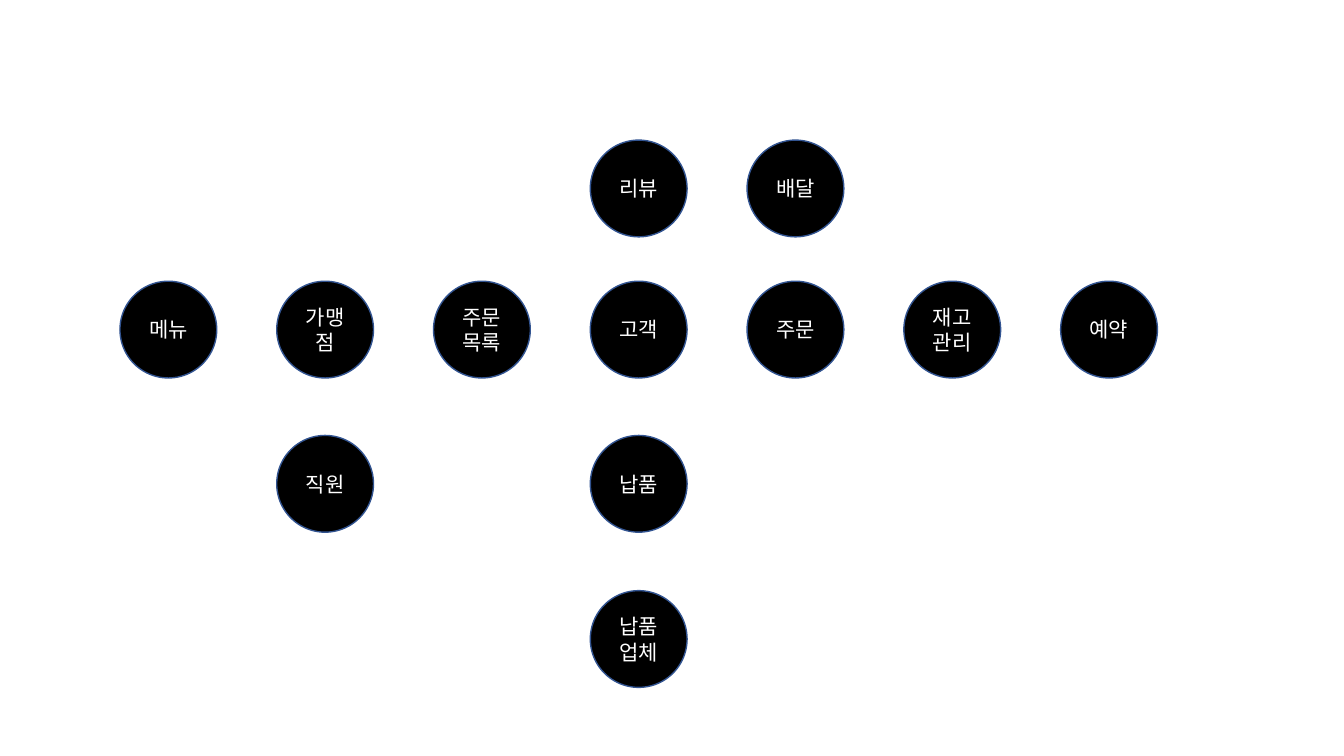
import pptx
import pptx.dml.color
import pptx.enum.shapes
import pptx.enum.text
import pptx.oxml.ns
import pptx.util
from lxml import etree

ROWS = [
    (1.39, {3: "리뷰", 4: "배달"}),
    (2.79, {0: "메뉴", 1: "가맹점", 2: "주문목록", 3: "고객",
            4: "주문", 5: "재고관리", 6: "예약"}),
    (4.32, {1: "직원", 3: "납품"}),
    (5.86, {3: "납품업체"}),
]
FIRST_LEFT, LAST_LEFT, COLUMNS = 1.19, 10.52, 7
DIAMETER = 0.96
FONT = "Noto Sans CJK KR"
BLACK = pptx.dml.color.RGBColor(0x00, 0x00, 0x00)
WHITE = pptx.dml.color.RGBColor(0xFF, 0xFF, 0xFF)
BLUE = pptx.dml.color.RGBColor(0x32, 0x54, 0x91)
Inches = pptx.util.Inches


def write_text(shape, text, *, size, color, font):
    """Put centred, formatted text in a shape."""
    frame = shape.text_frame
    frame.word_wrap = True
    frame.vertical_anchor = pptx.enum.text.MSO_ANCHOR.MIDDLE
    para = frame.paragraphs[0]
    para.alignment = pptx.enum.text.PP_ALIGN.CENTER
    span = para.add_run()
    span.text = text
    span.font.size = pptx.util.Pt(size)
    span.font.color.rgb = color
    span.font.name = font
    east_asian = etree.SubElement(span.font._element, pptx.oxml.ns.qn("a:ea"))
    east_asian.set("typeface", font)


def add_entity(page, text, left, top):
    """Draw one entity circle with its name."""
    circle = page.shapes.add_shape(
        pptx.enum.shapes.MSO_SHAPE.OVAL,
        Inches(left), Inches(top), Inches(DIAMETER), Inches(DIAMETER))
    circle.shadow.inherit = False
    circle.fill.solid()
    circle.fill.fore_color.rgb = BLACK
    circle.line.color.rgb = BLUE
    circle.line.width = pptx.util.Pt(1)
    write_text(circle, text, size=15, color=WHITE, font=FONT)


def main():
    """Build the slide of entity circles."""
    deck = pptx.Presentation()
    deck.slide_width = Inches(13.33)
    deck.slide_height = Inches(7.5)
    page = deck.slides.add_slide(deck.slide_layouts[6])
    pitch = (LAST_LEFT - FIRST_LEFT) / (COLUMNS - 1)
    for top, entities in ROWS:
        for column, name in entities.items():
            add_entity(page, name, FIRST_LEFT + column * pitch, top)
    deck.save("out.pptx")


if __name__ == "__main__":
    main()
